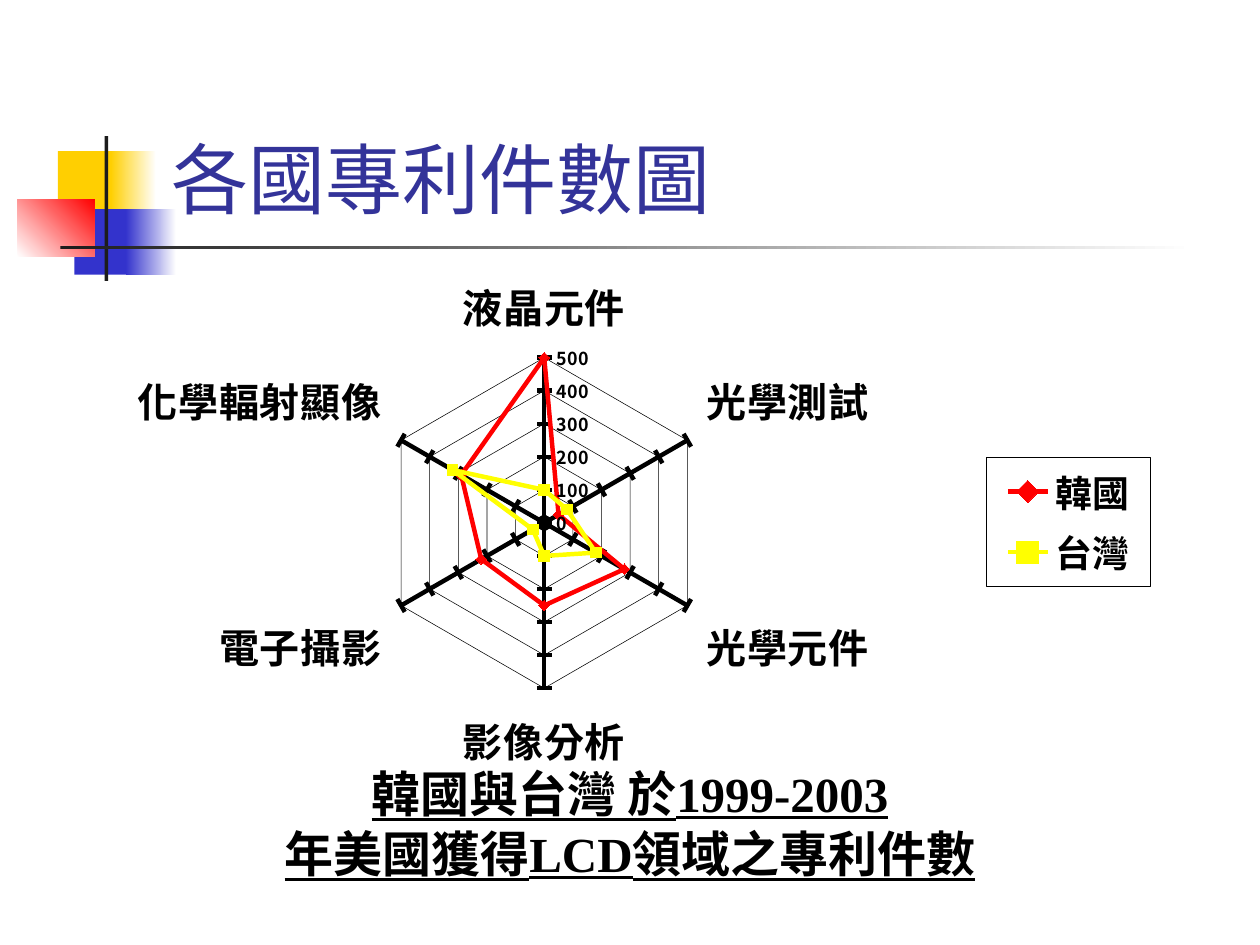
from lxml import etree
from pptx import Presentation
from pptx import util as u
from pptx.chart import data as cd
from pptx.dml import color as co
from pptx.enum import chart as ch, shapes, text
from pptx.oxml import ns, parse_xml

theme = {
    "gold": "FFCF01", "blue": "3333CC", "red": "FF0000", "dark": "1C1C1C",
    "white": "FFFFFF", "ink": "000000", "title": "333399", "yellow": "FFFF00",
    "head": 44, "note": 28, "label": 22.9, "scale": 10.2, "key": 21.1,
    "thick": 2.55, "thin": 0.32,
    "latin": "Times New Roman", "cjk": "Noto Sans CJK TC",
}


def rgb(name):
    return co.RGBColor.from_string(theme[name])


def style(font, size, hue="ink", face="cjk", **fmt):
    fmt = {"name": theme[face], "size": u.Pt(theme[size]), "bold": True, **fmt}
    for key, val in fmt.items():
        setattr(font, key, val)
    font.color.rgb = rgb(hue)
    etree.SubElement(font._rPr, ns.qn("a:ea"), typeface=theme["cjk"])


prs = Presentation()
prs.slide_width, prs.slide_height = u.Inches(10), u.Inches(7.5)
slide = prs.slides.add_slide(prs.slide_layouts[5])

decor = [
    (0.46, 1.2, 0.48, 0.52, ["gold"], 0),
    (0.88, 1.2, 0.36, 0.52, ["gold", "white"], 0),
    (0.59, 1.66, 0.46, 0.52, ["blue"], 0),
    (1, 1.66, 0.4, 0.52, ["blue", "white"], 0),
    (0.14, 1.58, 0.61, 0.46, ["white", "red"], 45),
    (0.83, 1.08, 0.03, 1.15, ["dark"], 0),
    (0.48, 1.95, 9, 0.03, ["dark", "white"], 0),
]
for *box, hues, angle in decor:
    rect = slide.shapes.add_shape(shapes.MSO_SHAPE.RECTANGLE, *map(u.Inches, box))
    rect.shadow.inherit = False
    rect.line.fill.background()
    if len(hues) == 1:
        rect.fill.solid()
        rect.fill.fore_color.rgb = rgb(hues[0])
    else:
        rect.fill.gradient()
        rect.fill.gradient_angle = angle
        for stop, hue in zip(rect.fill.gradient_stops, hues):
            stop.color.rgb = rgb(hue)

title = slide.shapes.title
place = {"left": 1.26, "top": 0.23, "width": 8.52, "height": 1.6}
for key, val in place.items():
    setattr(title, key, u.Inches(val))
frame = title.text_frame
frame.text = "各國專利件數圖"
frame.auto_size = text.MSO_AUTO_SIZE.NONE
frame.vertical_anchor = text.MSO_ANCHOR.BOTTOM
frame.paragraphs[0].alignment = text.PP_ALIGN.LEFT
style(frame.paragraphs[0].runs[0].font, "head", "title", "latin", bold=False)
slide.shapes._spTree.append(title._element)

data = cd.CategoryChartData()
data.categories = ["液晶元件", "光學測試", "光學元件", "影像分析", "電子攝影", "化學輻射顯像"]
data.add_series("韓國", [500, 50, 280, 250, 220, 290])
data.add_series("台灣", [100, 80, 180, 100, 40, 320])
box = map(u.Inches, (0.8, 1.36, 8.39, 5.56))
radar = slide.shapes.add_chart(ch.XL_CHART_TYPE.RADAR_MARKERS, *box, data).chart
radar.has_title = False
radar.has_legend = True
radar.plots[0].vary_by_categories = False
style(radar.font, "label")

cat, val, key = radar.category_axis, radar.value_axis, radar.legend
val.minimum_scale, val.maximum_scale, val.major_unit = 0, 500, 100
val.major_tick_mark = ch.XL_TICK_MARK.CROSS
cat.major_tick_mark = ch.XL_TICK_MARK.OUTSIDE
cat.has_major_gridlines = val.has_major_gridlines = True
style(cat.tick_labels.font, "label")
style(val.tick_labels.font, "scale")
lines = [
    (cat.major_gridlines.format.line, "ink", "thick"),
    (val.major_gridlines.format.line, "ink", "thin"),
    (val.format.line, "ink", "thick"),
]

key.position = ch.XL_LEGEND_POSITION.RIGHT
key.include_in_layout = False
style(key.font, "key")

marks = [("red", ch.XL_MARKER_STYLE.DIAMOND), ("yellow", ch.XL_MARKER_STYLE.SQUARE)]
for row, (hue, mark) in zip(radar.plots[0].series, marks):
    row.marker.style, row.marker.size = mark, 6
    row.marker.format.fill.solid()
    row.marker.format.fill.fore_color.rgb = rgb(hue)
    lines += [(row.format.line, hue, "thick"), (row.marker.format.line, hue, "thin")]
for line, hue, width in lines:
    line.color.rgb = rgb(hue)
    line.width = u.Pt(theme[width])

plot = radar._chartSpace.chart.plotArea
for old in plot.findall(ns.qn("c:layout")):
    plot.remove(old)
spots = [
    (plot, 0, '<c:layoutTarget val="inner"/>', (0.263, 0.266, 0.313, 0.472)),
    (key._element, 1, "", (0.838, 0.408, 0.155, 0.185)),
]
for part, slot, goal, nums in spots:
    for old in part.findall(ns.qn("c:layout")):
        part.remove(old)
    modes = "".join(f'<c:{n}Mode val="edge"/>' for n in "xy")
    sizes = "".join(f'<c:{n} val="{v}"/>' for n, v in zip("xywh", nums))
    part.insert(slot, parse_xml(
        f'<c:layout {ns.nsdecls("c")}><c:manualLayout>{goal}{modes}{sizes}'
        "</c:manualLayout></c:layout>"))
key._element.find(ns.qn("c:txPr")).addprevious(parse_xml(
    f'<c:spPr {ns.nsdecls("c", "a")}>'
    f'<a:solidFill><a:srgbClr val="{theme["white"]}"/></a:solidFill>'
    f'<a:ln w="{u.Pt(theme["thin"])}"><a:solidFill><a:srgbClr val="{theme["ink"]}"/>'
    "</a:solidFill></a:ln></c:spPr>"))

note = slide.shapes.add_textbox(*map(u.Inches, (0, 6.08, 10, 0.99))).text_frame
note.word_wrap = True
note.auto_size = text.MSO_AUTO_SIZE.SHAPE_TO_FIT_TEXT
note.text = "韓國與台灣 於1999-2003\n年美國獲得LCD領域之專利件數"
form = {"alignment": text.PP_ALIGN.CENTER, "line_spacing": 0.85, "space_before": u.Pt(5.6)}
for para in note.paragraphs:
    for name, item in form.items():
        setattr(para, name, item)
    style(para.runs[0].font, "note", face="latin", underline=True)

prs.save("out.pptx")
